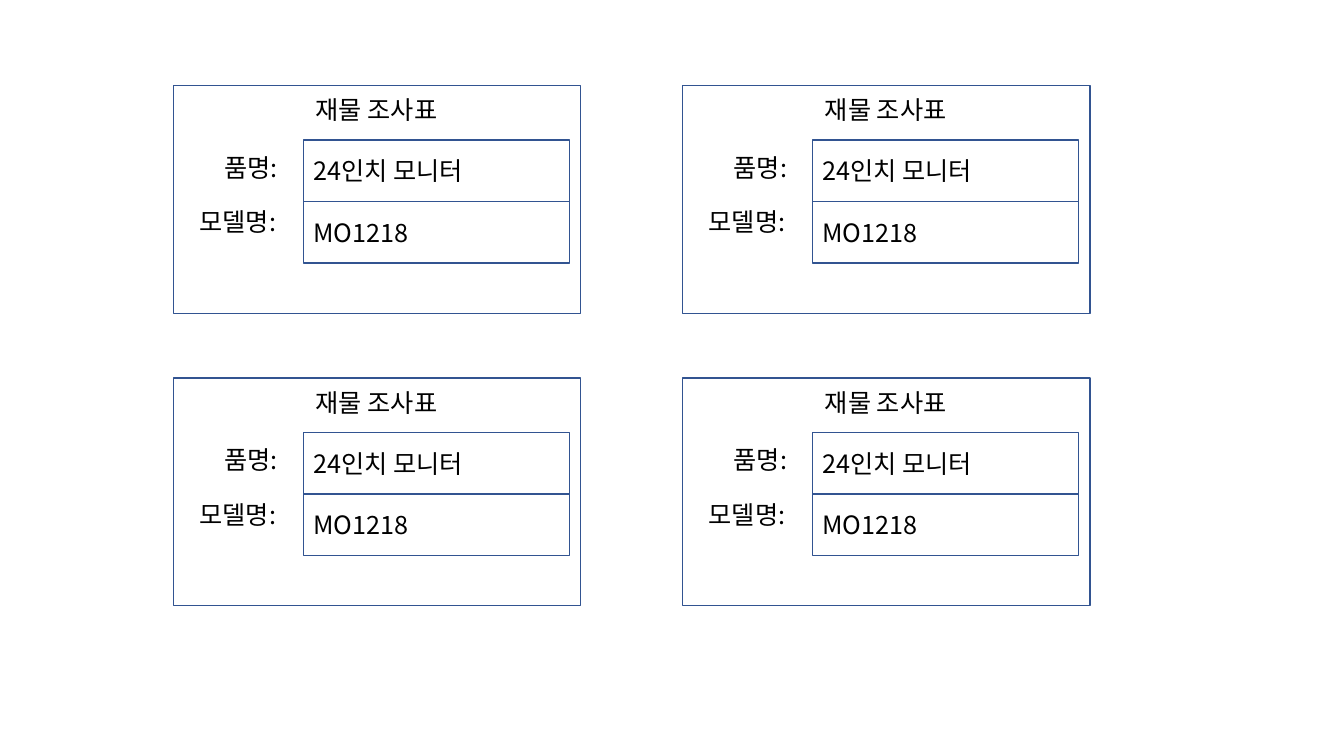
from pptx import Presentation, util as u
from pptx.dml import color
from pptx.enum import shapes, text
from pptx.oxml import ns
from lxml import etree

look = {
    "face": "Noto Sans CJK KR",
    "size": u.Pt(18),
    "ink": color.RGBColor(0, 0, 0),
    "edge": color.RGBColor(0x32, 0x54, 0x91),
    "line": u.Pt(1),
}
top, mid = text.MSO_ANCHOR.TOP, text.MSO_ANCHOR.MIDDLE
left, mid_x = text.PP_ALIGN.LEFT, text.PP_ALIGN.CENTER
grow, fixed = text.MSO_AUTO_SIZE.SHAPE_TO_FIT_TEXT, text.MSO_AUTO_SIZE.NONE


def write(shape, words, align, **form):
    frame = shape.text_frame
    for key, val in form.items():
        setattr(frame, key, val)
    para = frame.paragraphs[0]
    para.alignment = align
    run = para.add_run()
    run.text = words
    for key, val in {"name": look["face"], "size": look["size"]}.items():
        setattr(run.font, key, val)
    run.font.color.rgb = look["ink"]
    etree.SubElement(run.font._element, ns.qn("a:ea"), typeface=look["face"])


def frame_box(x, y, w, h):
    box = slide.shapes.add_shape(
        shapes.MSO_SHAPE.RECTANGLE, *map(u.Inches, (x, y, w, h)))
    box.shadow.inherit = False
    box.fill.background()
    box.line.color.rgb = look["edge"]
    box.line.width = look["line"]
    return box


deck = Presentation()
deck.slide_width, deck.slide_height = u.Inches(13.33), u.Inches(7.5)
slide = deck.slides.add_slide(deck.slide_layouts[6])

cells = [("MO1218", 1.15), ("24인치 모니터", 0.54)]
labels = [
    ("품명:", 0.41, 0.61, 0.76, left, False),
    ("모델명:", 0.16, 1.15, 1.02, left, False),
    ("재물 조사표", 0.41, 0.04, 3.21, mid_x, True),
]

for y in (0.85, 3.75):
    for x in (1.72, 6.77):
        for words, dy in cells:
            cell = frame_box(x + 1.29, y + dy, 2.64, 0.61)
            write(cell, words, left, vertical_anchor=mid,
                  word_wrap=True, auto_size=fixed)
        frame_box(x, y, 4.04, 2.26)
        for words, dx, dy, w, align, wrap in labels:
            label = slide.shapes.add_textbox(
                *map(u.Inches, (x + dx, y + dy, w, 0.4)))
            write(label, words, align, vertical_anchor=top,
                  word_wrap=wrap, auto_size=grow)

deck.save("out.pptx")
